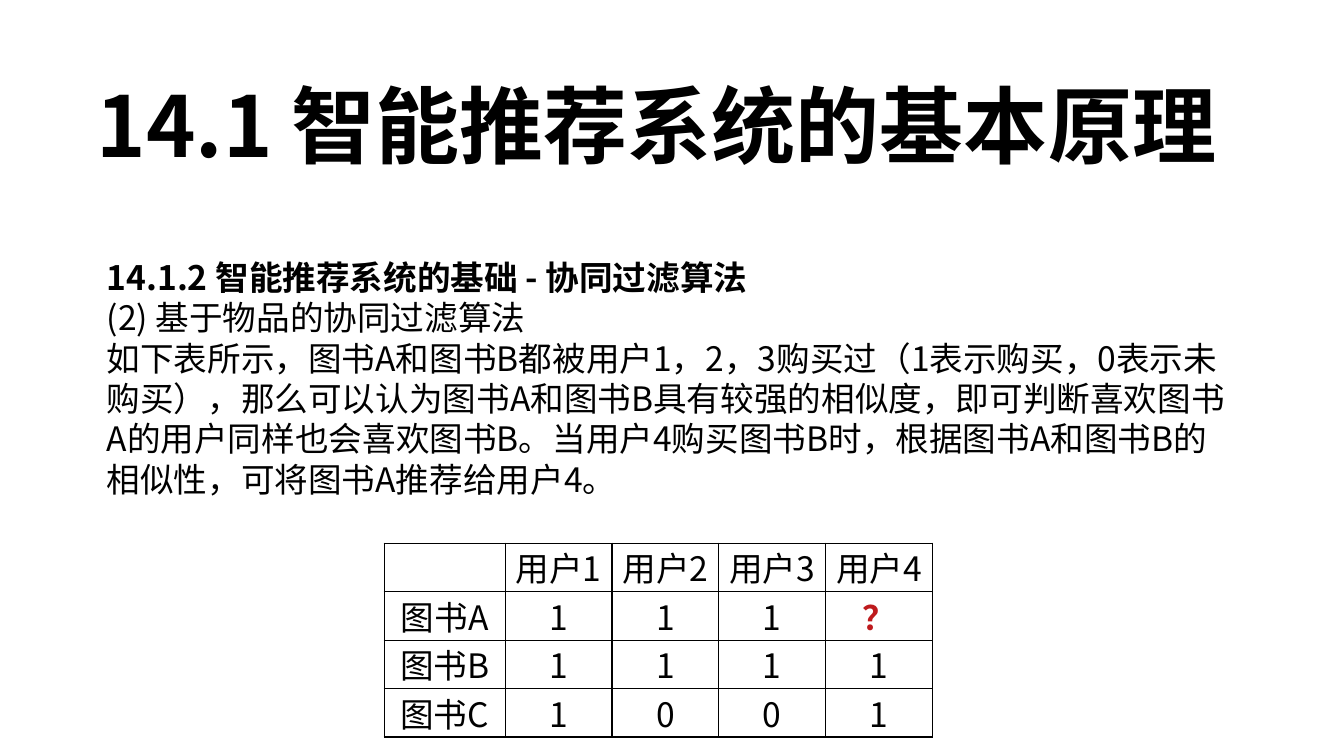
from lxml import etree
from pptx import Presentation
from pptx.dml.color import RGBColor
from pptx.enum.text import MSO_ANCHOR, PP_ALIGN
from pptx.oxml.ns import qn
from pptx.util import Inches, Pt

CENTER, LEFT = PP_ALIGN.CENTER, PP_ALIGN.LEFT
TOP = MSO_ANCHOR.TOP
FONT = "Noto Sans CJK SC"
BLACK, RED = "000000", "BE1A1D"
LINE_FACTOR = 1.2
UNKNOWN = "？"

TITLE = "14.1 智能推荐系统的基本原理"
BODY = [
    ("14.1.2 智能推荐系统的基础 - 协同过滤算法", True),
    ("(2) 基于物品的协同过滤算法", False),
    ("如下表所示，图书A和图书B都被用户1，2，3购买过（1表示购买，0表示未购买），"
     "那么可以认为图书A和图书B具有较强的相似度，即可判断喜欢图书A的用户同样也会喜欢图书B。"
     "当用户4购买图书B时，根据图书A和图书B的相似性，可将图书A推荐给用户4。", False),
]
PURCHASES = [
    ["", "用户1", "用户2", "用户3", "用户4"],
    ["图书A", "1", "1", "1", UNKNOWN],
    ["图书B", "1", "1", "1", "1"],
    ["图书C", "1", "0", "0", "1"],
]
COLUMN_WIDTHS = [1.2] + [1.06] * 4
ROW_HEIGHT = 0.48


def color(hex_string):
    return RGBColor.from_string(hex_string)


def write(paragraph, text, size, bold=False, ink=BLACK, align=LEFT):
    paragraph.text = text
    paragraph.alignment = align
    paragraph.line_spacing = Pt(size * LINE_FACTOR)
    font = paragraph.font
    font.name, font.size, font.bold = FONT, Pt(size), bold
    font.color.rgb = color(ink)
    properties = paragraph._p.pPr.find(qn("a:defRPr"))
    etree.SubElement(properties, qn("a:ea"), typeface=FONT)


def add_text(slide, box, lines, size, wrap, top_inset):
    shape = slide.shapes.add_textbox(*(Inches(length) for length in box))
    frame = shape.text_frame
    frame.word_wrap = wrap
    frame.margin_top = Inches(top_inset)
    for index, (text, bold) in enumerate(lines):
        paragraph = frame.add_paragraph() if index else frame.paragraphs[0]
        write(paragraph, text, size, bold)


def add_borders(cell):
    properties = cell._tc.get_or_add_tcPr()
    for index, side in enumerate(("lnL", "lnR", "lnT", "lnB")):
        line = etree.Element(qn("a:" + side), w=str(Pt(1)))
        fill = etree.SubElement(line, qn("a:solidFill"))
        etree.SubElement(fill, qn("a:srgbClr"), val=BLACK)
        properties.insert(index, line)


def add_purchase_table(slide, left, top):
    rows, columns = len(PURCHASES), len(COLUMN_WIDTHS)
    table = slide.shapes.add_table(
        rows, columns, Inches(left), Inches(top),
        Inches(sum(COLUMN_WIDTHS)), Inches(ROW_HEIGHT * rows)).table
    table.first_row = table.horz_banding = False
    for column, width in zip(table.columns, COLUMN_WIDTHS):
        column.width = Inches(width)
    for row, values in zip(table.rows, PURCHASES):
        row.height = Inches(ROW_HEIGHT)
        for cell, value in zip(row.cells, values):
            cell.fill.background()
            cell.vertical_anchor = TOP
            cell.margin_left = cell.margin_right = cell.margin_bottom = 0
            cell.margin_top = Inches(0.08)
            unknown = value == UNKNOWN
            write(cell.text_frame.paragraphs[0], value, 24, unknown,
                  RED if unknown else BLACK, CENTER)
            add_borders(cell)


presentation = Presentation()
presentation.slide_width = Inches(13.33)
presentation.slide_height = Inches(7.5)
slide = presentation.slides.add_slide(presentation.slide_layouts[6])
add_text(slide, (0.86, 0.61, 11.62, 1.11), [(TITLE, True)], 60, False, 0.12)
add_text(slide, (0.96, 2.48, 11.41, 2.52), BODY, 24, True, 0.07)
add_purchase_table(slide, 3.81, 5.39)
presentation.save("out.pptx")
